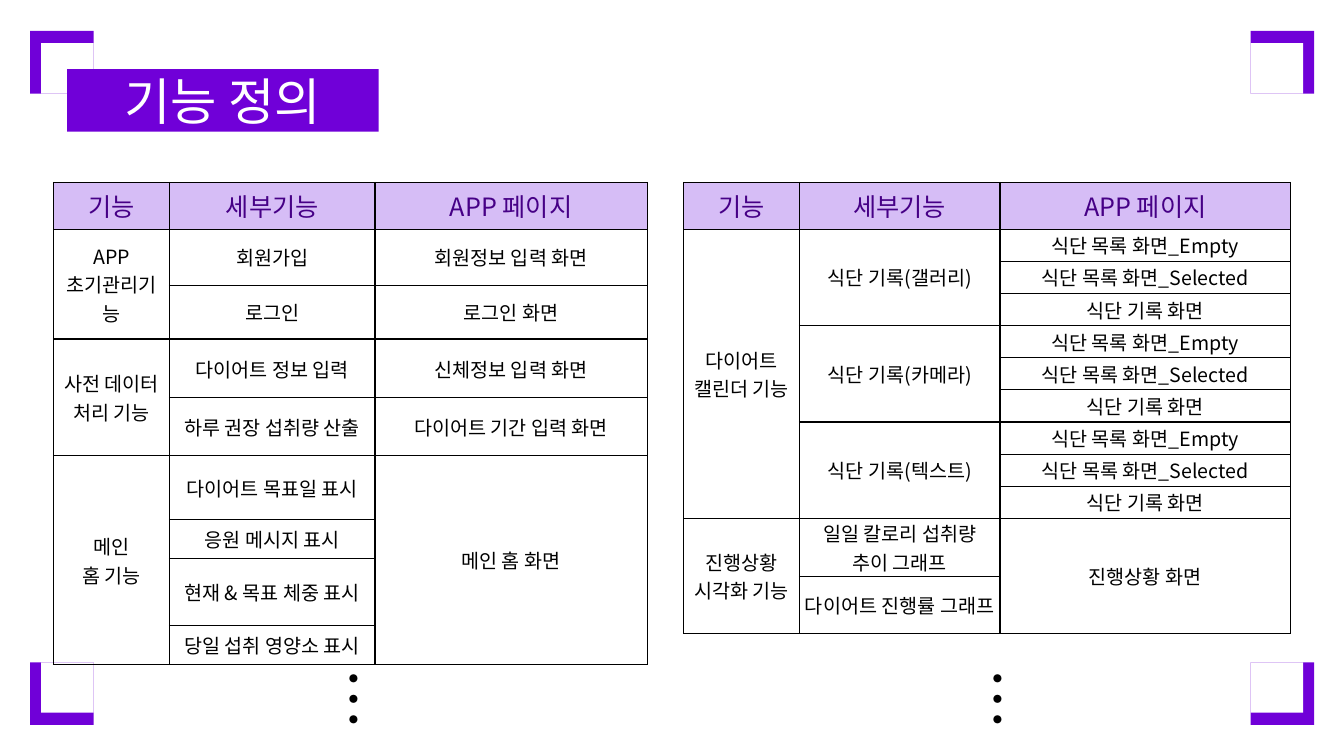
from lxml import etree
from pptx import Presentation
from pptx.dml.color import RGBColor
from pptx.enum.shapes import MSO_SHAPE
from pptx.enum.text import MSO_ANCHOR, MSO_AUTO_SIZE, PP_ALIGN
from pptx.oxml.ns import qn
from pptx.util import Cm, Pt

RECT = MSO_SHAPE.RECTANGLE
MIDDLE = MSO_ANCHOR.MIDDLE
CENTER = PP_ALIGN.CENTER
NO_FIT = MSO_AUTO_SIZE.NONE

PURPLE = RGBColor(0x70, 0x00, 0xD8)
DEEP_PURPLE = RGBColor(0x46, 0x00, 0x86)
LILAC = RGBColor(0xD6, 0xBD, 0xF6)
WHITE = RGBColor(0xFF, 0xFF, 0xFF)
BLACK = RGBColor(0x00, 0x00, 0x00)
FONT = "Noto Sans CJK KR"

TITLE = "기능 정의"
HEADER = ("기능", "세부기능", "APP 페이지")
DIET_PAGES = ("식단 목록 화면_Empty", "식단 목록 화면_Selected", "식단 기록 화면")
DIET_INPUTS = ("갤러리", "카메라", "텍스트")

START_ROWS = [
    HEADER,
    ("APP 초기관리기능", "회원가입", "회원정보 입력 화면"),
    (None, "로그인", "로그인 화면"),
    ("사전 데이터\n처리 기능", "다이어트 정보 입력", "신체정보 입력 화면"),
    (None, "하루 권장 섭취량 산출", "다이어트 기간 입력 화면"),
    ("메인\n홈 기능", "다이어트 목표일 표시", "메인 홈 화면"),
    (None, "응원 메시지 표시", None),
    (None, "현재 & 목표 체중 표시", None),
    (None, "당일 섭취 영양소 표시", None),
]
DIET_ROWS = [
    ("다이어트\n캘린더 기능" if i == j == 0 else None,
     f"식단 기록({source})" if j == 0 else None, page)
    for i, source in enumerate(DIET_INPUTS)
    for j, page in enumerate(DIET_PAGES)
]
CALENDAR_ROWS = [
    HEADER,
    *DIET_ROWS,
    ("진행상황\n시각화 기능", "일일 칼로리 섭취량\n추이 그래프", "진행상황 화면"),
    (None, "다이어트 진행률 그래프", None),
]
TABLES = [
    {"left": 1.35, "rows": START_ROWS, "cols": (2.92, 5.18, 6.86), "tight": False,
     "heights": (1.16, 1.41, 1.36, 1.48, 1.46, 1.61, 0.96, 1.69, 0.99)},
    {"left": 17.23, "rows": CALENDAR_ROWS, "cols": (2.92, 5.05, 7.32), "tight": True,
     "heights": (1.16, *[0.81] * 9, 1.46, 1.44)},
]
TABLE_TOP = 4.6
DOTS_LEFT = (7.62, 23.85)
CORNER_X, CORNER_Y = (0.76, 31.52), (0.78, 16.69)
CORNER_W, CORNER_H = 1.6, 1.58
BAND_W, BAND_H = 0.28, 0.31


def add_block(s, left, top, width, height, color):
    sp = s.shapes.add_shape(RECT, Cm(left), Cm(top), Cm(width), Cm(height))
    sp.shadow.inherit = False
    sp.fill.solid()
    sp.fill.fore_color.rgb = color
    sp.line.fill.background()


def add_corners(s):
    for i, x in enumerate(CORNER_X):
        for j, y in enumerate(CORNER_Y):
            add_block(s, x, y, CORNER_W, CORNER_H, PURPLE)
            add_block(s, x + BAND_W * (1 - i), y + BAND_H * (1 - j),
                      CORNER_W - BAND_W, CORNER_H - BAND_H, WHITE)


def set_font(p, size, color, name=FONT):
    p.font.size = Pt(size)
    p.font.color.rgb = color
    p.font.name = name


def add_title(s):
    sp = s.shapes.title
    sp.left, sp.top, sp.width, sp.height = Cm(1.69), Cm(1.74), Cm(7.85), Cm(1.58)
    sp.fill.solid()
    sp.fill.fore_color.rgb = PURPLE
    tf = sp.text_frame
    tf.text = TITLE
    tf.auto_size = NO_FIT
    tf.vertical_anchor = MIDDLE
    p = tf.paragraphs[0]
    p.alignment = CENTER
    set_font(p, 36, WHITE, "Arial")
    s.shapes.element.append(sp.element)


def set_borders(cell):
    tc_pr = cell._tc.get_or_add_tcPr()
    for side in ("lnL", "lnR", "lnT", "lnB"):
        ln = etree.SubElement(tc_pr, qn(f"a:{side}"), w=str(Pt(1)))
        fill = etree.SubElement(ln, qn("a:solidFill"))
        etree.SubElement(fill, qn("a:srgbClr"), val=str(BLACK))


def fill_cell(cell, text, is_header):
    cell.text = text
    cell.vertical_anchor = MIDDLE
    for p in cell.text_frame.paragraphs:
        p.alignment = CENTER
        set_font(p, 18 if is_header else 14, DEEP_PURPLE if is_header else BLACK)


def add_feature_table(s, left, rows, cols, heights, tight):
    frame = s.shapes.add_table(len(rows), len(cols), Cm(left), Cm(TABLE_TOP),
                               Cm(sum(cols)), Cm(sum(heights)))
    table = frame.table
    table.first_row = table.horz_banding = False
    for column, width in zip(table.columns, cols):
        column.width = Cm(width)
    for row, height in zip(table.rows, heights):
        row.height = Cm(height)
    for r, row in enumerate(rows):
        for c, text in enumerate(row):
            cell = table.cell(r, c)
            set_borders(cell)
            if r == 0:
                cell.fill.solid()
                cell.fill.fore_color.rgb = LILAC
            else:
                cell.fill.background()
            if tight and r and c:
                cell.margin_left = cell.margin_right = 0
                cell.margin_top = cell.margin_bottom = 0
            if text is None:
                continue
            fill_cell(cell, text, r == 0)
            end = r
            while end + 1 < len(rows) and rows[end + 1][c] is None:
                end += 1
            if end > r:
                cell.merge(table.cell(end, c))


def add_dots(s, left):
    sp = s.shapes.add_textbox(Cm(left), Cm(16.6), Cm(2.39), Cm(2.4))
    sp.element.txBody.bodyPr.set("vert", "eaVert")
    tf = sp.text_frame
    tf.word_wrap = True
    tf.text = "…"
    set_font(tf.paragraphs[0], 44, BLACK)


def main():
    """Build the feature definition slide."""
    prs = Presentation()
    prs.slide_width, prs.slide_height = Cm(33.87), Cm(19.05)
    s = prs.slides.add_slide(prs.slide_layouts[5])
    add_corners(s)
    add_title(s)
    for table, dots_left in zip(TABLES, DOTS_LEFT):
        add_feature_table(s, **table)
        add_dots(s, dots_left)
    for font in s.element.iter(qn("a:defRPr")):
        etree.SubElement(font, qn("a:ea"), typeface=FONT)
    prs.save("out.pptx")


if __name__ == "__main__":
    main()
